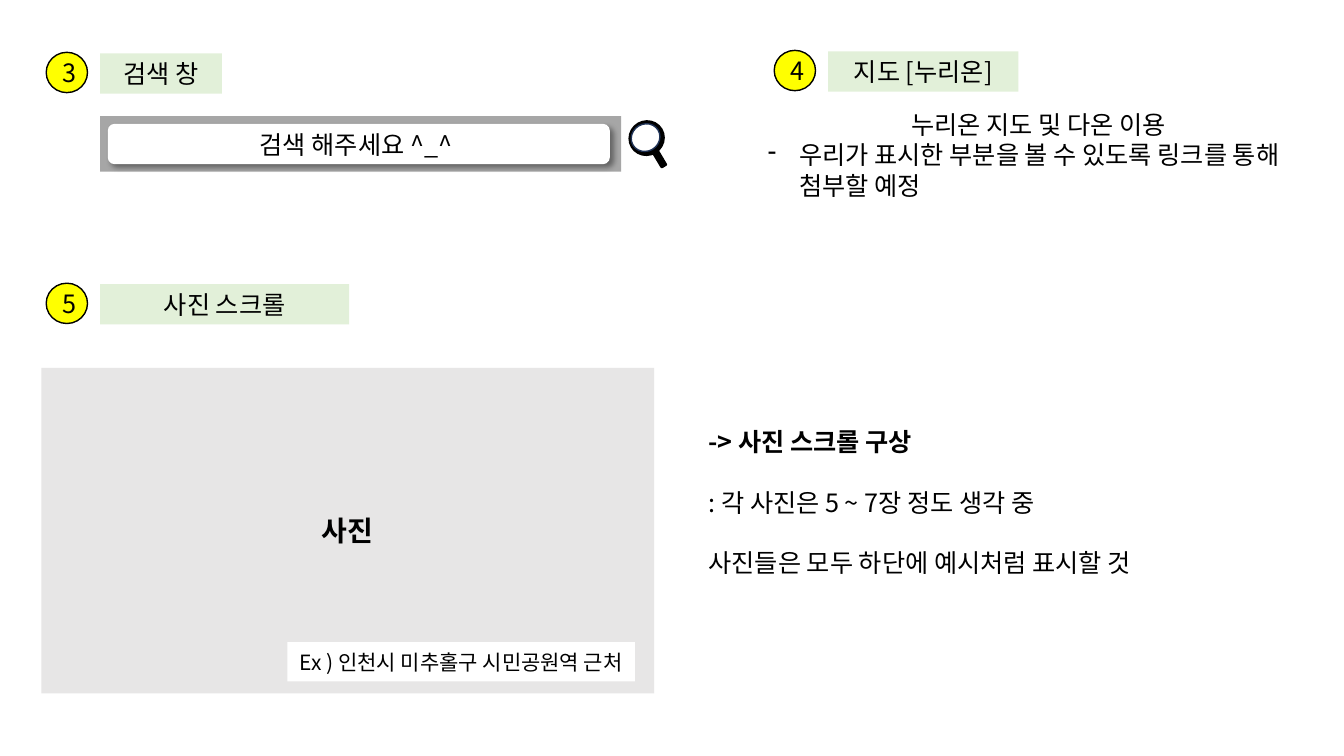
import pptx
import pptx.util
import pptx.dml.color
import pptx.enum.shapes
import pptx.enum.text
import pptx.oxml
import pptx.oxml.ns
from lxml import etree

Pt = pptx.util.Pt
SHAPE = pptx.enum.shapes.MSO_SHAPE
ALIGN = pptx.enum.text.PP_ALIGN
FONT = "Noto Sans CJK KR"

# Content: number, label, left, top, label width
SECTIONS = [
    ("3", "검색 창", 33, 37.4, 87),
    ("4", "지도 [누리온]", 553, 36, 136),
    ("5", "사진 스크롤", 33, 202.3, 178),
]
SEARCH_PROMPT = "검색 해주세요 ^_^ "
MAP_TITLE = "누리온 지도 및 다온 이용"
MAP_NOTE = "우리가 표시한 부분을 볼 수 있도록 링크를 통해 첨부할 예정"
PHOTO = "사진"
PHOTO_CAPTION = "Ex ) 인천시 미추홀구 시민공원역 근처"
SCROLL_PLAN = [
    "-> 사진 스크롤 구상",
    ": 각 사진은 5 ~ 7장 정도 생각 중",
    "사진들은 모두 하단에 예시처럼 표시할 것",
]
# Magnifier parts: preset, box, fill, line
MAGNIFIER = [
    (SHAPE.FLOWCHART_CONNECTOR, (449.3, 86.4, 25.2, 24.5), "000000", "000000"),
    (SHAPE.ROUNDED_RECTANGLE, (467.3, 100.8, 4.3, 19.4), "000000", "000000"),
    (SHAPE.FLOWCHART_CONNECTOR, (450.7, 88.6, 20.9, 19.4), "FFFFFF", "1E3256"),
]

deck = pptx.Presentation()
deck.slide_width, deck.slide_height = Pt(960), Pt(540)
page = deck.slides.add_slide(deck.slide_layouts[6])


def color(code):
    return pptx.dml.color.RGBColor.from_string(code)


def write(para, text, size=18, bold=False, align=ALIGN.CENTER):
    para.text = text
    para.alignment = align
    font = para.font
    font.name, font.size, font.bold = FONT, Pt(size), bold
    font.color.rgb = color("000000")
    # Korean letters take the East Asian font
    defaults = para._p.pPr.find(pptx.oxml.ns.qn("a:defRPr"))
    etree.SubElement(defaults, pptx.oxml.ns.qn("a:ea"), typeface=FONT)


def add_box(preset, bounds, fill, line=None, text=None, **style):
    box = page.shapes.add_shape(preset, *map(Pt, bounds))
    box.shadow.inherit = False
    box.fill.solid()
    box.fill.fore_color.rgb = color(fill)
    if line:
        box.line.color.rgb = color(line)
        box.line.width = Pt(1)
    else:
        box.line.fill.background()
    if text:
        box.text_frame.vertical_anchor = pptx.enum.text.MSO_ANCHOR.MIDDLE
        write(box.text_frame.paragraphs[0], text, **style)
    return box


# Numbered section headings
for number, label, left, top, width in SECTIONS:
    add_box(SHAPE.OVAL, (left, top, 29.5, 28.8), "FFFF00", "000000", number)
    add_box(SHAPE.RECTANGLE, (left + 38.5, top + 0.7, width, 28.8), "E2F0D9", text=label)

# Search bar with a soft shadow
add_box(SHAPE.RECTANGLE, (71.5, 83, 372.2, 39.6), "A6A6A6")
field = add_box(SHAPE.ROUNDED_RECTANGLE, (77, 88.5, 358.6, 28.8), "FFFFFF", text=SEARCH_PROMPT)
effects = field._element.spPr.find(pptx.oxml.ns.qn("a:effectLst"))
effects.append(pptx.oxml.parse_xml(
    f'<a:outerShdw {pptx.oxml.ns.nsdecls("a")} blurRad="{Pt(4)}" dist="{Pt(3)}" '
    'dir="2700000" algn="tl" rotWithShape="0"><a:srgbClr val="000000">'
    '<a:alpha val="40000"/></a:srgbClr></a:outerShdw>'))

for preset, bounds, fill, line in MAGNIFIER:
    add_box(preset, bounds, fill, line).rotation = 329.2

# Map note with a dash bullet
note = add_box(SHAPE.RECTANGLE, (541.4, 72.7, 401, 75.6), "FFFFFF", text=MAP_TITLE)
para = note.text_frame.add_paragraph()
write(para, MAP_NOTE, align=ALIGN.LEFT)
properties = para._p.pPr
properties.set("marL", str(Pt(22.5)))
properties.set("indent", str(Pt(-22.5)))
bullet = etree.Element(pptx.oxml.ns.qn("a:buChar"), char="-")
properties.insert(0, bullet)

# Photo area and caption
add_box(SHAPE.RECTANGLE, (29.5, 262.8, 437.8, 232.6), "E7E6E6", text=PHOTO, size=20, bold=True)
add_box(SHAPE.RECTANGLE, (205.2, 458.6, 248.4, 28.1), "FFFFFF", text=PHOTO_CAPTION, size=15)

# Scroll plan
plan = page.shapes.add_textbox(Pt(499), Pt(301), Pt(327.6), Pt(116.6)).text_frame
plan.word_wrap = False
plan.auto_size = pptx.enum.text.MSO_AUTO_SIZE.SHAPE_TO_FIT_TEXT
for index, text in enumerate(SCROLL_PLAN):
    para = plan.add_paragraph() if index else plan.paragraphs[0]
    write(para, text, bold=index == 0, align=ALIGN.LEFT)
    if index:
        para.space_before = Pt(21.6)

deck.save("out.pptx")
